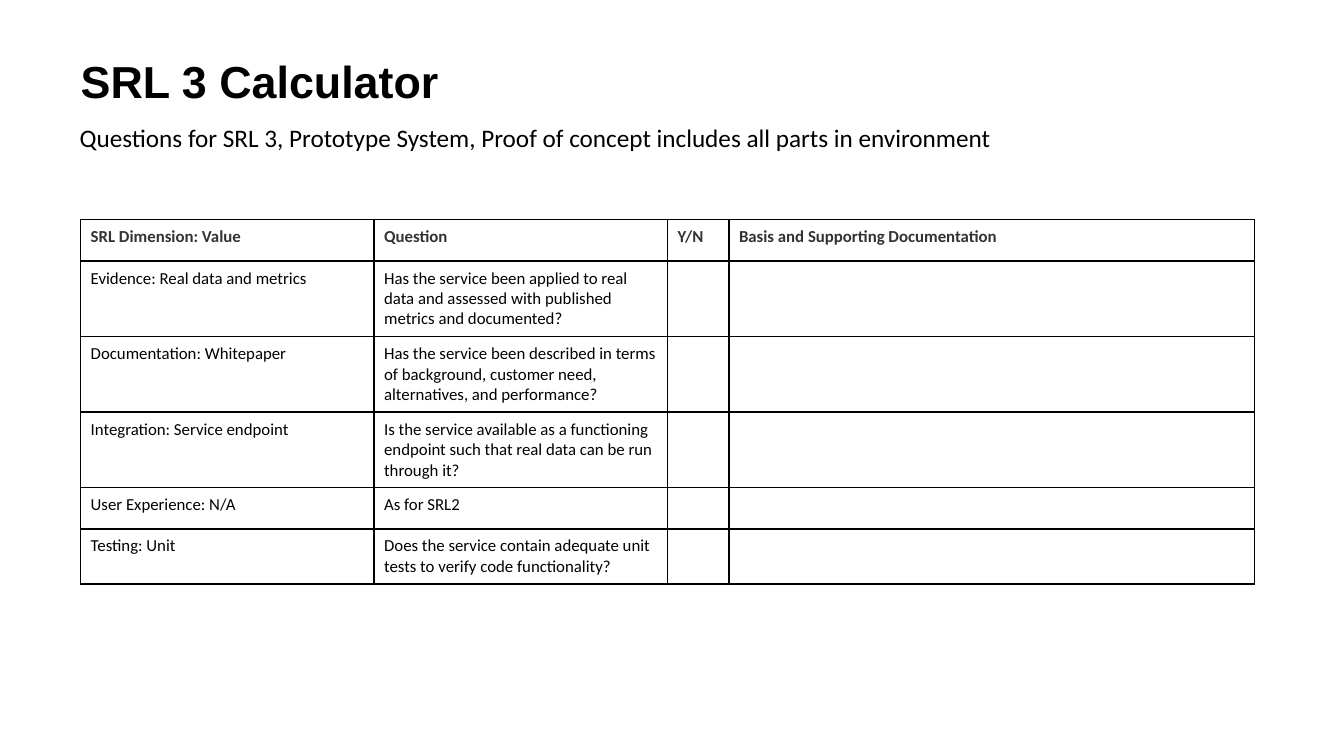
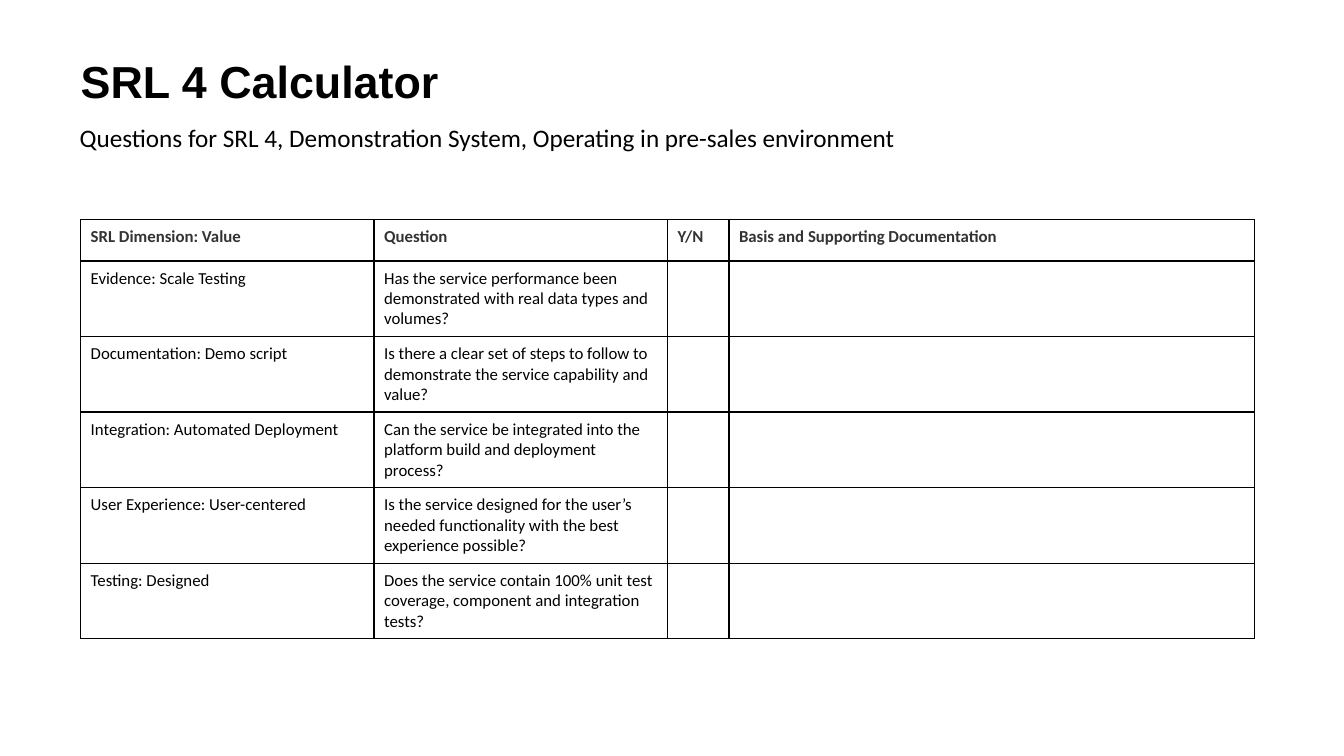
from lxml.etree import SubElement
from pptx import Presentation
from pptx.dml.color import RGBColor
from pptx.enum.text import MSO_ANCHOR, MSO_AUTO_SIZE, PP_ALIGN
from pptx.oxml.ns import qn
from pptx.util import Inches, Pt

BLACK = RGBColor(0x00, 0x00, 0x00)
CHARCOAL = RGBColor(0x33, 0x33, 0x33)

TITLE_FONT = {"name": "Arial", "size": Pt(32), "bold": True}
SUBTITLE_FONT = {"name": "Calibri", "size": Pt(18), "bold": False}
HEADER_FONT = {"name": "Calibri", "size": Pt(12), "bold": True}
CELL_FONT = {"name": "Calibri", "size": Pt(12), "bold": False}

TITLE_BOX = (0.8, 0.53, 11.72, 0.62)
SUBTITLE_BOX = (0.69, 1.16, 10.93, 0.4)
TITLE_FRAME = {
    "margin_left": 0,
    "margin_top": 0,
    "margin_right": 0,
    "margin_bottom": Inches(0.08),
    "vertical_anchor": MSO_ANCHOR.MIDDLE,
}
SUBTITLE_FRAME = {
    "margin_left": Inches(0.1),
    "margin_top": Inches(0.05),
    "margin_right": Inches(0.1),
    "margin_bottom": Inches(0.05),
    "vertical_anchor": MSO_ANCHOR.TOP,
}
CELL_MARGINS = {
    "margin_left": Inches(0.1),
    "margin_top": Inches(0.07),
    "margin_right": Inches(0.1),
    "margin_bottom": Inches(0.07),
}
HEADER_MARGINS = {**CELL_MARGINS, "margin_right": Inches(0.16)}

TABLE_LEFT, TABLE_TOP = 0.8, 2.18
COLUMN_WIDTHS = (2.91, 2.91, 0.61, 5.21)
ROW_HEIGHT = 0.41
HEADERS = ("SRL Dimension: Value", "Question", "Y/N", "Basis and Supporting Documentation")
DIMENSIONS = ("Evidence", "Documentation", "Integration", "User Experience", "Testing")

CALCULATORS = (
    (
        3,
        "Prototype System, Proof of concept includes all parts in environment",
        (
            ("Real data and metrics",
             "Has the service been applied to real data and assessed with published metrics and documented?"),
            ("Whitepaper",
             "Has the service been described in terms of background, customer need, alternatives, and performance?"),
            ("Service endpoint",
             "Is the service available as a functioning endpoint such that real data can be run through it?"),
            ("N/A", "As for SRL2"),
            ("Unit", "Does the service contain adequate unit tests to verify code functionality?"),
        ),
    ),
    (
        4,
        "Demonstration System, Operating in pre-sales environment",
        (
            ("Scale Testing",
             "Has the service performance been demonstrated with real data types and volumes?"),
            ("Demo script",
             "Is there a clear set of steps to follow to demonstrate the service capability and value?"),
            ("Automated Deployment",
             "Can the service be integrated into the platform build and deployment process?"),
            ("User-centered",
             "Is the service designed for the user’s needed functionality with the best experience possible?"),
            ("Designed",
             "Does the service contain 100% unit test coverage, component and integration tests?"),
        ),
    ),
)


def apply_format(target, values):
    for name, value in values.items():
        setattr(target, name, value)


def write_text(text_frame, text, font_format, color=BLACK):
    paragraph = text_frame.paragraphs[0]
    run = paragraph.add_run()
    run.text = text
    apply_format(run.font, font_format)
    run.font.color.rgb = color
    return paragraph


def fill_placeholder(shape, box, text, font_format, frame_format):
    bounds = zip(("left", "top", "width", "height"), map(Inches, box))
    apply_format(shape, dict(bounds))
    text_frame = shape.text_frame
    text_frame.auto_size = MSO_AUTO_SIZE.NONE
    apply_format(text_frame, frame_format)
    paragraph = write_text(text_frame, text, font_format)
    apply_format(paragraph, {"alignment": PP_ALIGN.LEFT, "space_before": Pt(0)})
    return paragraph


def remove_bullet(paragraph):
    properties = paragraph._p.get_or_add_pPr()
    properties.set("marL", "0")
    properties.set("indent", "0")
    SubElement(properties, qn("a:buNone"))


def add_borders(cell):
    properties = cell._tc.get_or_add_tcPr()
    for side in ("L", "R", "T", "B"):
        line = SubElement(properties, qn(f"a:ln{side}"), w=str(Pt(1)))
        fill = SubElement(line, qn("a:solidFill"))
        SubElement(fill, qn("a:srgbClr"), val=str(BLACK))


def fill_cell(cell, text, is_header):
    add_borders(cell)
    cell.fill.background()
    if text:
        apply_format(cell, HEADER_MARGINS if is_header else CELL_MARGINS)
        write_text(
            cell.text_frame,
            text,
            HEADER_FONT if is_header else CELL_FONT,
            CHARCOAL if is_header else BLACK,
        )


def add_question_table(slide, answers):
    rows = [HEADERS]
    for dimension, (value, question) in zip(DIMENSIONS, answers):
        rows.append((f"{dimension}: {value}", question, "", ""))
    frame = slide.shapes.add_table(
        len(rows), len(HEADERS),
        Inches(TABLE_LEFT), Inches(TABLE_TOP),
        Inches(sum(COLUMN_WIDTHS)), Inches(ROW_HEIGHT * len(rows)),
    )
    table = frame.table
    apply_format(table, {"first_row": False, "horz_banding": False})
    for column, width in zip(table.columns, COLUMN_WIDTHS):
        column.width = Inches(width)
    for row_index, (row, texts) in enumerate(zip(table.rows, rows)):
        row.height = Inches(ROW_HEIGHT)
        for cell, text in zip(row.cells, texts):
            fill_cell(cell, text, row_index == 0)


def add_calculator_slide(presentation, level, description, answers):
    slide = presentation.slides.add_slide(presentation.slide_layouts[1])
    fill_placeholder(slide.shapes.title, TITLE_BOX, f"SRL {level} Calculator", TITLE_FONT, TITLE_FRAME)
    subtitle = fill_placeholder(
        slide.placeholders[1], SUBTITLE_BOX,
        f"Questions for SRL {level}, {description}", SUBTITLE_FONT, SUBTITLE_FRAME,
    )
    remove_bullet(subtitle)
    add_question_table(slide, answers)


def main():
    presentation = Presentation()
    presentation.slide_width = Inches(13.33)
    presentation.slide_height = Inches(7.5)
    for level, description, answers in CALCULATORS:
        add_calculator_slide(presentation, level, description, answers)
    presentation.save("out.pptx")


if __name__ == "__main__":
    main()
